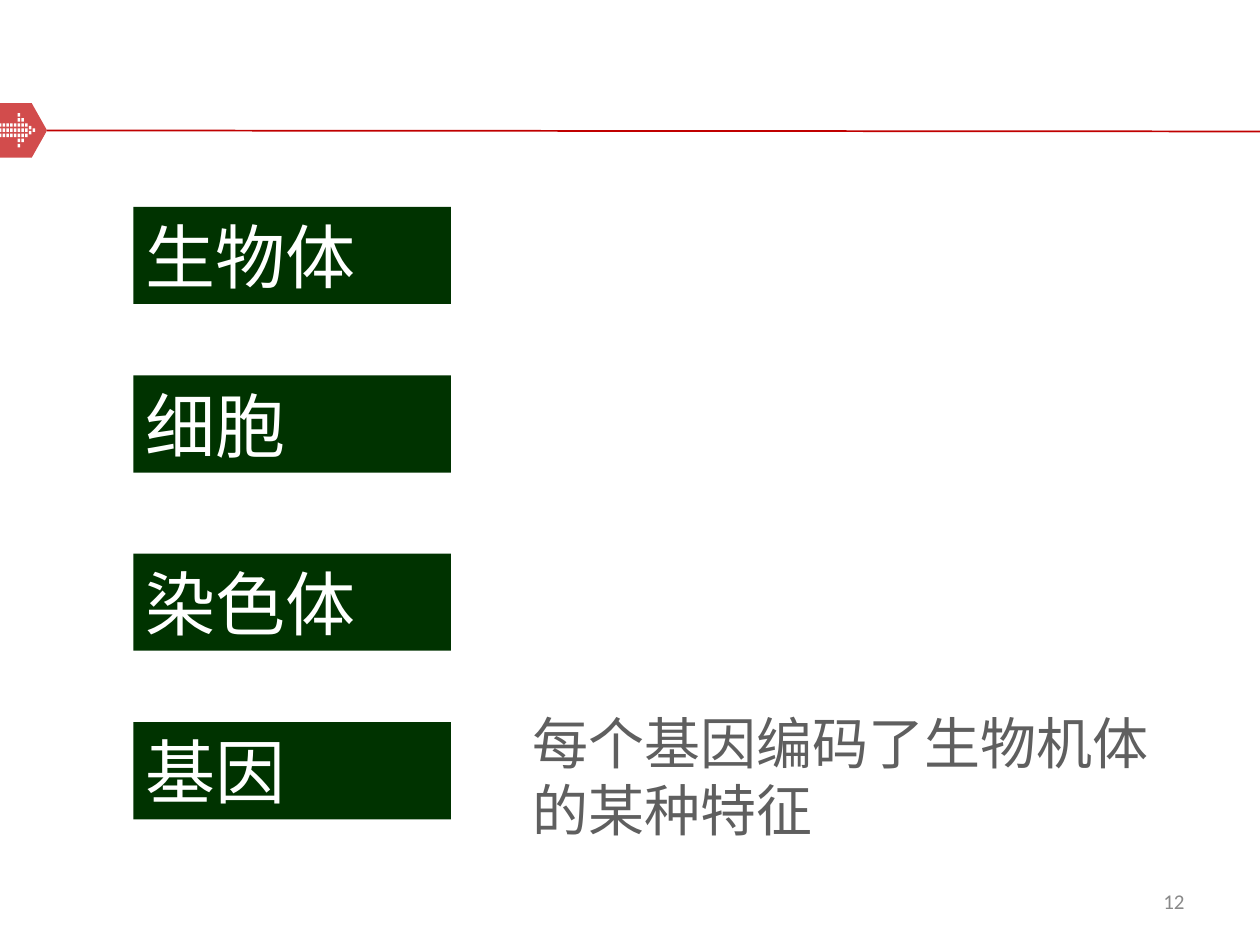
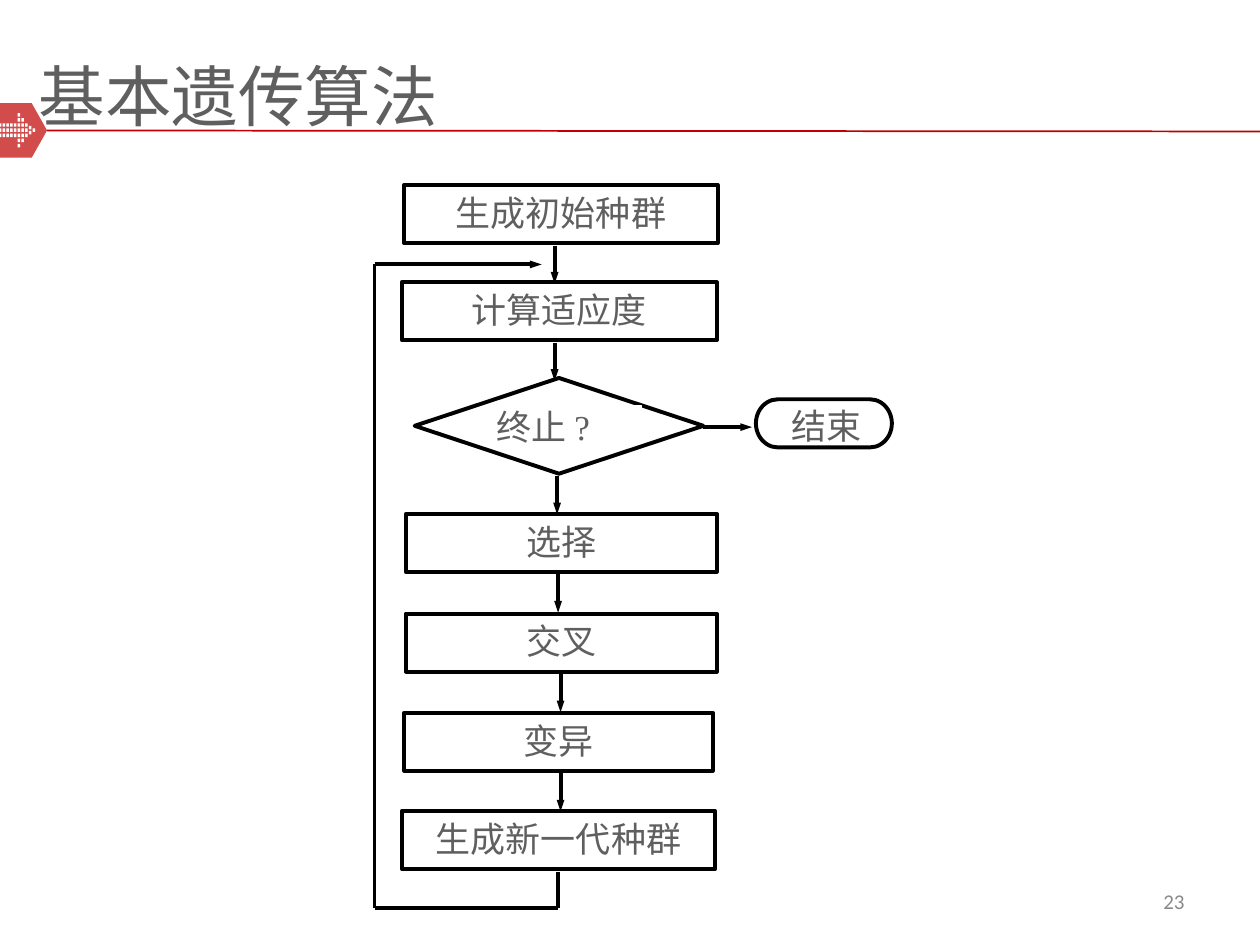
import dataclasses

import lxml.etree
import pptx
import pptx.dml.color
import pptx.enum.shapes
import pptx.enum.text
import pptx.oxml.ns
import pptx.util

Cm, Pt = pptx.util.Cm, pptx.util.Pt
RGB = pptx.dml.color.RGBColor.from_string
SHAPE = pptx.enum.shapes.MSO_SHAPE
ALIGN = pptx.enum.text.PP_ALIGN
ANCHOR = pptx.enum.text.MSO_ANCHOR
qn = pptx.oxml.ns.qn


@dataclasses.dataclass(frozen=True)
class Theme:
    """Colours, fonts and type sizes shared by the slides."""
    red: str = "C00000"
    green: str = "003300"
    ink: str = "5F5F5F"
    grey: str = "898989"
    black: str = "000000"
    white: str = "FFFFFF"
    sans: str = "Arial"
    serif: str = "Times New Roman"
    number: str = "Calibri"
    title_pt: int = 38
    level_pt: int = 40
    caption_pt: int = 32
    step_pt: int = 20
    number_pt: int = 12
    flow_line: float = 2.25


T = Theme()
INSETS = ("margin_left", "margin_top", "margin_right", "margin_bottom")


def assign(obj, formats):
    """Set each named attribute of an object."""
    for name, value in formats.items():
        setattr(obj, name, value)


def write(sp, text, size, font=T.sans, color=T.ink, align=ALIGN.LEFT,
          anchor=ANCHOR.MIDDLE, inset=None):
    """Write one formatted paragraph into a shape."""
    tf = sp.text_frame
    assign(tf, {"word_wrap": True, "vertical_anchor": anchor})
    if inset is not None:
        assign(tf, dict.fromkeys(INSETS, inset))
    p = tf.paragraphs[0]
    p.alignment = align
    r = p.add_run()
    r.text = text
    assign(r.font, {"size": Pt(size), "name": font})
    r.font.color.rgb = RGB(color)


def paint(sp, fill, line=None, width=T.flow_line):
    """Give a shape a flat fill, an optional outline and no shadow."""
    sp.shadow.inherit = False
    sp.fill.solid()
    sp.fill.fore_color.rgb = RGB(fill)
    if line:
        sp.line.color.rgb = RGB(line)
        sp.line.width = Pt(width)
    else:
        sp.line.fill.background()


def add_box(s, kind, box, fill, line=None, width=T.flow_line):
    """Add a painted preset shape at a box in centimetres."""
    sp = s.shapes.add_shape(kind, *map(Cm, box))
    paint(sp, fill, line, width)
    return sp


def add_text(s, box, text, size, **formats):
    """Add a text box at a box in centimetres."""
    write(s.shapes.add_textbox(*map(Cm, box)), text, size, **formats)


def add_line(s, start, end, color=T.black, width=T.flow_line, arrow=False):
    """Add a straight connector, with an arrowhead at its end if asked."""
    kind = pptx.enum.shapes.MSO_CONNECTOR.STRAIGHT
    c = s.shapes.add_connector(kind, *map(Cm, (*start, *end)))
    c.line.color.rgb = RGB(color)
    c.line.width = Pt(width)
    if arrow:
        lxml.etree.SubElement(c.line._get_or_add_ln(), qn("a:tailEnd"),
                              type="triangle", w="sm", len="med")
    lxml.etree.SubElement(c._element.spPr, qn("a:effectLst"))


def add_outline(s, contours, fill):
    """Add one freeform made of closed contours in centimetres."""
    contours = [[(Cm(x), Cm(y)) for x, y in points] for points in contours]
    fb = s.shapes.build_freeform(*contours[0][0])
    for points in contours:
        if points is not contours[0]:
            fb.move_to(*points[0])
        fb.add_line_segments(points[1:], close=True)
    sp = fb.convert_to_shape()
    paint(sp, fill)
    return sp


def dot_arrow(s, box):
    """Draw an arrow of small dots filling the box."""
    left, top, width, height = box
    dot_w, dot_h = 0.05, 0.07
    cells = [(col, row) for row in (2, 3, 4) for col in range(8)]
    cells += [(5, 0), (5, 1), (6, 1), (5, 5), (6, 5), (5, 6)]
    cells += [(8, 2.5), (8, 3.5), (9, 3)]
    contours = []
    for col, row in cells:
        x = left + col * (width - dot_w) / 9
        y = top + row * (height - dot_h) / 6
        contours.append([(x, y), (x + dot_w, y),
                         (x + dot_w, y + dot_h), (x, y + dot_h)])
    add_outline(s, contours, T.white)


def header_band(s, box):
    """Draw the red tag with its dotted arrow and the rule to the right."""
    left, top, width, height = box
    tag, shoulder, middle = 0.95, 0.64, top + height / 2
    sp = add_outline(s, [[(left, top), (left + shoulder, top),
                          (left + tag, middle),
                          (left + shoulder, top + height),
                          (left, top + height)]], T.red)
    color = sp.fill._xPr.find(qn("a:solidFill"))[0]
    lxml.etree.SubElement(color, qn("a:alpha"), val="70000")
    dot_arrow(s, (left - 0.02, top + 0.2, 0.73, 0.69))
    add_line(s, (left + tag, middle), (left + width, middle + 0.02),
             T.red, 1)


def new_slide(prs, number):
    """Add a blank slide with the shared band and slide number."""
    s = prs.slides.add_slide(prs.slide_layouts[6])
    header_band(s, (0, 2.08, 25.4, 1.1))
    add_text(s, (18.2, 17.66, 5.93, 1.01), str(number), T.number_pt,
             font=T.number, color=T.grey, align=ALIGN.RIGHT)
    return s


def level_stack(s, box):
    """Stack the levels of life, with a caption beside the last."""
    left, top, width, height = box
    levels = {"生物体": 0, "细胞": 3.4, "染色体": 6.99, "基因": 10.39}
    for name, dy in levels.items():
        sp = add_box(s, SHAPE.RECTANGLE, (left, top + dy, 6.4, 1.96), T.green)
        write(sp, name, T.level_pt, color=T.white)
    caption_h = 2.97
    add_text(s, (left + 7.8, top + height - caption_h, width - 7.8, caption_h),
             "每个基因编码了生物机体的某种特征", T.caption_pt)


def flow_label(s, box, text, align=ALIGN.LEFT):
    """Lay a white label over a flowchart symbol."""
    sp = add_box(s, SHAPE.RECTANGLE, box, T.white, T.white, 0.75)
    write(sp, text, T.step_pt, font=T.serif, align=align,
          anchor=ANCHOR.TOP, inset=0)


def algorithm_flow(s, box):
    """Draw the genetic algorithm loop as a flowchart."""
    left, top, width, height = box

    def at(x, y, *size):
        """Shift a position into the box."""
        return (left + x, top + y, *size)

    add_line(s, at(6.67, 4.88), at(7.66, 4.88), arrow=True)
    step_h, test_h, gap, drop = 1.17, 1.93, 0.05, 0.77
    steps = [("生成初始种群", 0.65, 0, 6.32, 3.68),
             ("计算适应度", 0.6, 1.96, 6.35, 3.68),
             ("选择", 0.68, 6.63, 6.27, 3.75),
             ("交叉", 0.68, 8.64, 6.27, 3.8),
             ("变异", 0.65, 10.64, 6.22, 3.8),
             ("生成新一代种群", 0.6, 12.62, 6.32, 3.75)]
    for text, x, y, w, _ in steps:
        sp = add_box(s, SHAPE.RECTANGLE, at(x, y, w, step_h), T.white, T.black)
        write(sp, text, T.step_pt, font=T.serif, align=ALIGN.CENTER,
              anchor=ANCHOR.TOP)

    test_y = 3.89
    add_box(s, SHAPE.FLOWCHART_DECISION, at(0.86, test_y, 5.82, test_h),
            T.white, T.black)
    flow_label(s, at(2.51, 4.45, 2.92, 0.76), "终止 ?")

    exits = [(x, y + step_h) for _, _, y, _, x in steps[:-1]]
    for x, y in exits + [(3.73, test_y + test_h)]:
        add_line(s, at(x, y + gap), at(x, y + gap + drop), arrow=True)

    corners = [(3.75, 13.84), (3.75, height), (0.05, height),
               (0.05, 1.6), (3.42, 1.6)]
    for start, end in zip(corners, corners[1:]):
        add_line(s, at(*start), at(*end), arrow=end == corners[-1])

    end_w = 2.74
    add_box(s, SHAPE.FLOWCHART_TERMINATOR,
            at(width - end_w, 4.32, end_w, 0.97), T.white, T.black)
    flow_label(s, at(8.43, 4.42, 1.45, 0.76), "结束", ALIGN.CENTER)


def main():
    """Build both slides and save the deck."""
    prs = pptx.Presentation()
    assign(prs, {"slide_width": Cm(25.4), "slide_height": Cm(19.05)})
    level_stack(new_slide(prs, 12), (2.69, 4.17, 21, 12.95))
    s = new_slide(prs, 23)
    algorithm_flow(s, (7.5, 3.73, 10.48, 14.58))
    add_text(s, (0.53, 0.64, 22.28, 2.54), "基本遗传算法", T.title_pt)
    prs.save("out.pptx")


if __name__ == "__main__":
    main()
